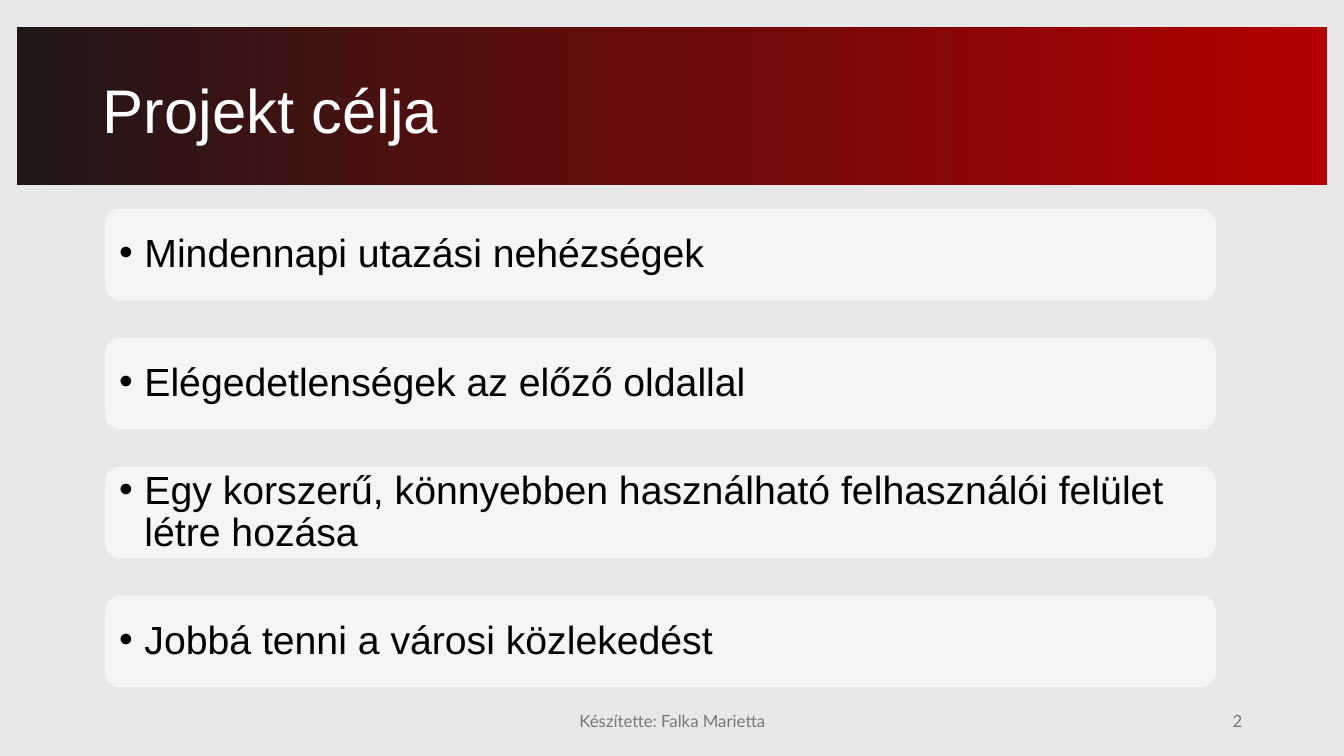
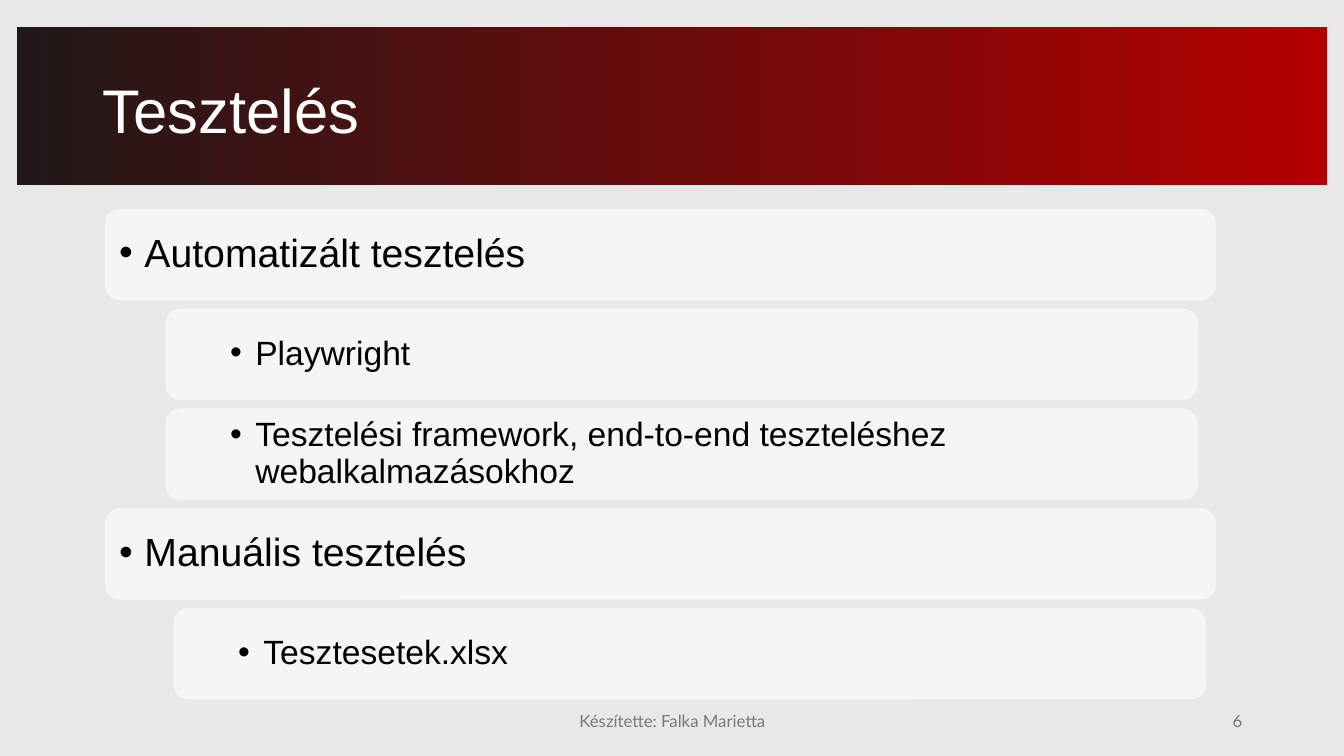
from lxml import etree
from pptx import Presentation
from pptx import util as u
from pptx.dml.color import RGBColor
from pptx.enum import shapes, text
from pptx.oxml import ns

BACK = RGBColor(0xE8, 0xE8, 0xE8)
DARK = RGBColor(0x21, 0x17, 0x17)
RED = RGBColor(0xB3, 0x00, 0x00)
WHITE = RGBColor(0xFF, 0xFF, 0xFF)
GREY = RGBColor(0x79, 0x79, 0x79)
CARD = RGBColor(0xF5, 0xF5, 0xF5)
BLACK = RGBColor(0x00, 0x00, 0x00)
HEAD, FOOT = "Arial", "Lato"
BAND = (0.17, 0.27, 12.99, 1.57)
LIST = (1.04, 2.07, 11.02, 0.91)
BASE = (4.42, 6.95, 8, 0.4)
AUTHOR = "Készítette: Falka Marietta"
LEFT, MID, RIGHT = text.PP_ALIGN.LEFT, text.PP_ALIGN.CENTER, text.PP_ALIGN.RIGHT


def write(shape, words, size, font, color, align=LEFT):
    """Fill a shape with one styled paragraph and return it."""
    frame = shape.text_frame
    frame.word_wrap = True
    frame.vertical_anchor = text.MSO_ANCHOR.MIDDLE
    frame.text = words
    para = frame.paragraphs[0]
    para.alignment = align
    for run in para.runs:
        run.font.size = u.Pt(size)
        run.font.name = font
        run.font.color.rgb = color
    return para


def label(slide, box, *style):
    """Add a text box in the given style and return its paragraph."""
    return write(slide.shapes.add_textbox(*map(u.Inches, box)), *style)


def block(slide, kind, box):
    """Add a preset shape without outline or shadow."""
    shape = slide.shapes.add_shape(kind, *map(u.Inches, box))
    shape.shadow.inherit = False
    shape.line.fill.background()
    return shape


def banner(slide, box, title):
    """Draw the gradient band with the slide title."""
    left, top, width, height = box
    fill = block(slide, shapes.MSO_SHAPE.RECTANGLE, box).fill
    fill.gradient()
    fill.gradient_angle = 0
    for stop, color in zip(fill.gradient_stops, (DARK, RED)):
        stop.color.rgb = color
    place = (left + 0.75, top + 0.13, width - 1.49, height - 0.12)
    label(slide, place, title, 44, HEAD, WHITE).line_spacing = 0.9


def footer(slide, box, number):
    """Write the author and the slide number along the bottom."""
    left, top, width, height = box
    label(slide, (left, top, 4.5, height), AUTHOR, 12, FOOT, GREY, MID)
    label(slide, (left + width - 3, top, 3, height), str(number), 12, FOOT, GREY, RIGHT)


def bullet(para, level):
    """Give a paragraph its bullet, indent and spacing."""
    para.level = level
    para.line_spacing = 0.9
    para.space_before = u.Pt(5 if level else 10)
    props = para._p.get_or_add_pPr()
    props.set("marL", str(u.Inches(0.25 + 0.5 * level)))
    props.set("indent", str(u.Inches(-0.25)))
    etree.SubElement(props, ns.qn("a:buFont")).set("typeface", HEAD)
    etree.SubElement(props, ns.qn("a:buChar")).set("char", "•")


def cards(slide, box, pitch, items):
    """Stack rounded cards, narrower where the item is inset."""
    left, top, width, height = box
    for row, (words, inset) in enumerate(items):
        level = 1 if inset else 0
        place = (left + inset, top + row * pitch, width - 0.78 * level, height)
        shape = block(slide, shapes.MSO_SHAPE.ROUNDED_RECTANGLE, place)
        shape.fill.solid()
        shape.fill.fore_color.rgb = CARD
        bullet(write(shape, words, 28 - 4 * level, HEAD, BLACK), level)


def page(deck, title, number, pitch, items):
    """Build one slide of banner, footer and cards."""
    slide = deck.slides.add_slide(deck.slide_layouts[6])
    slide.background.fill.solid()
    slide.background.fill.fore_color.rgb = BACK
    banner(slide, BAND, title)
    footer(slide, BASE, number)
    cards(slide, LIST, pitch, items)


def main():
    """Build and save the deck."""
    deck = Presentation()
    deck.slide_width, deck.slide_height = u.Inches(13.33), u.Inches(7.5)
    page(deck, "Projekt célja", 2, 1.28, [
        ("Mindennapi utazási nehézségek", 0),
        ("Elégedetlenségek az előző oldallal", 0),
        ("Egy korszerű, könnyebben használható felhasználói felület létre hozása", 0),
        ("Jobbá tenni a városi közlekedést", 0),
    ])
    page(deck, "Tesztelés", 6, 0.99, [
        ("Automatizált tesztelés", 0),
        ("Playwright", 0.6),
        ("Tesztelési framework, end-to-end teszteléshez webalkalmazásokhoz", 0.6),
        ("Manuális tesztelés", 0),
        ("Tesztesetek.xlsx", 0.68),
    ])
    deck.save("out.pptx")


if __name__ == "__main__":
    main()
